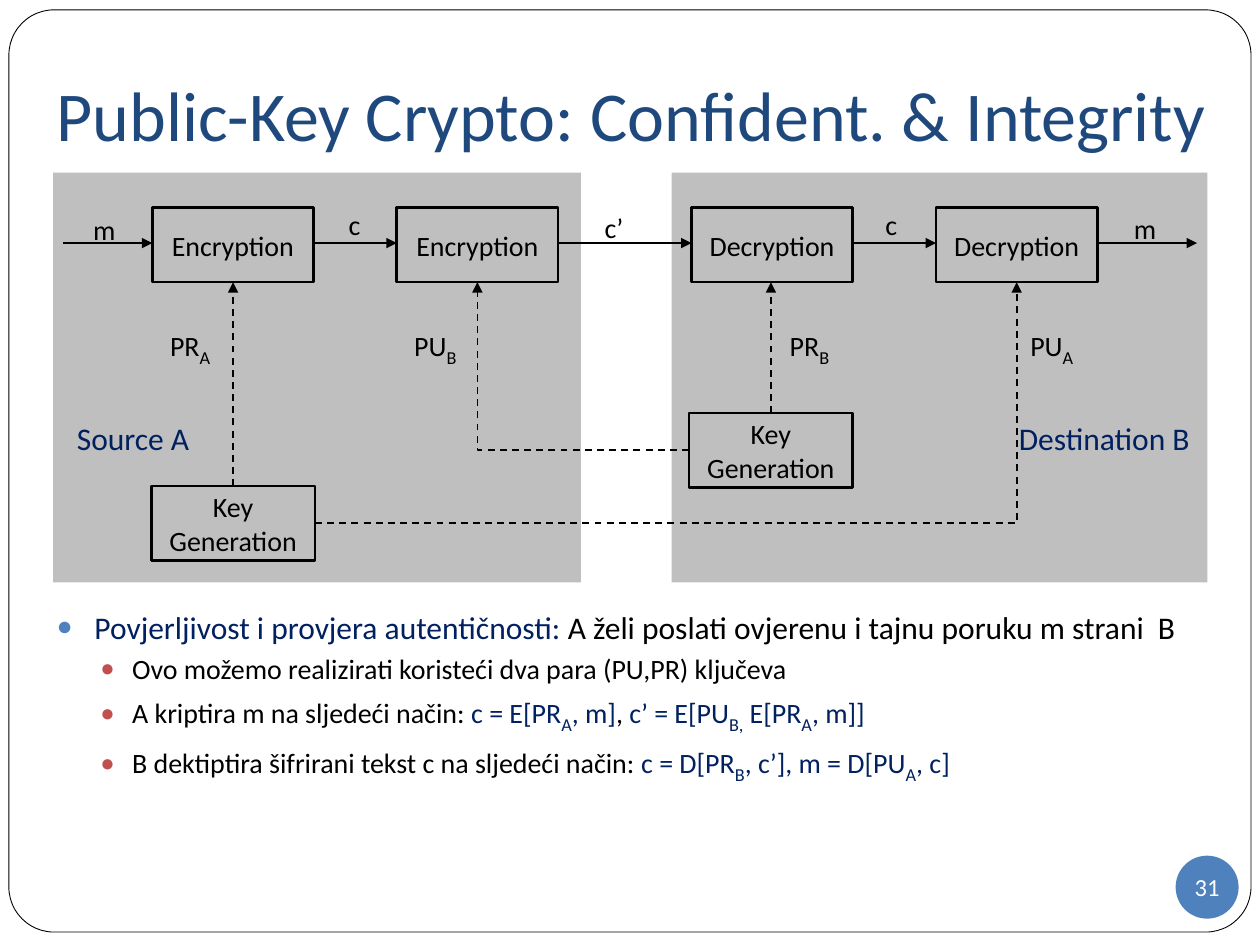
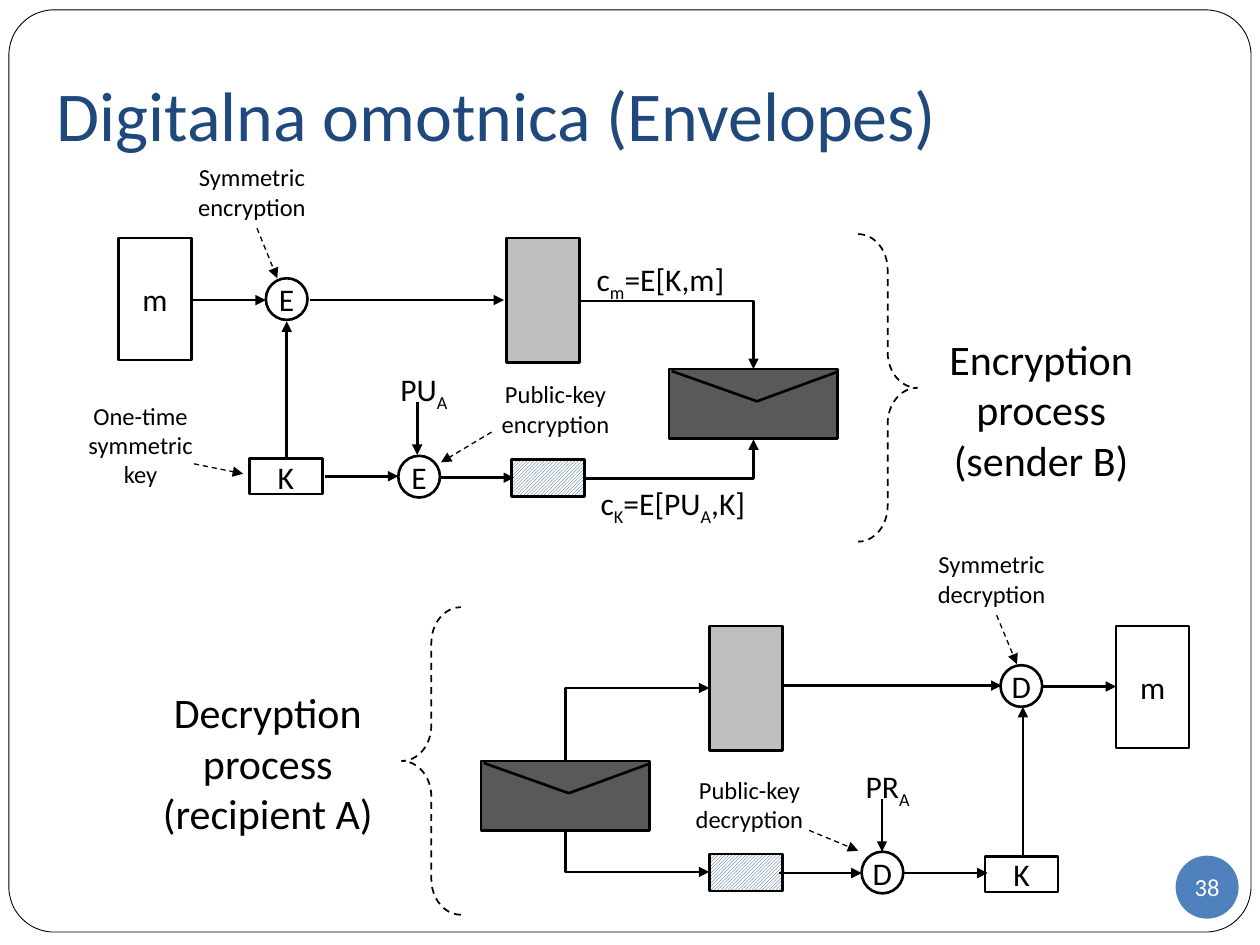
from lxml import etree
from pptx import Presentation
from pptx import util as u
from pptx.dml import color
from pptx.enum import dml, shapes, text
from pptx.oxml import ns

FONT = "Calibri"
BLACK, WHITE, GREY, DARK = "000000", "FFFFFF", "BFBFBF", "595959"
TITLE, NAVY, BLUE, RED = "1F497D", "002060", "4F81BD", "C0504D"
KIND = shapes.MSO_SHAPE
LEFT, CENTRE = text.PP_ALIGN.LEFT, text.PP_ALIGN.CENTER


def rgb(value):
    return color.RGBColor.from_string(value)


def cm(*values):
    return [u.Cm(value) for value in values]


def add_child(parent, tag, **attributes):
    return etree.SubElement(parent, ns.qn(tag), attributes)


def add_spans(para, words, size=16, colour=BLACK, sub_size=18):
    """Add words to a paragraph; every second part between bars is a subscript."""
    for number, part in enumerate(words.split("|")):
        if not part:
            continue
        span = para.add_run()
        span.text = part
        lowered = number % 2 == 1
        span.font.name = FONT
        span.font.size = u.Pt(sub_size if lowered else size)
        span.font.color.rgb = rgb(colour)
        if lowered:
            span.font._element.set("baseline", "-25000")


def write(box, words, align=LEFT, anchor=None, wrap=True, insets=None, **style):
    frame = box.text_frame
    frame.word_wrap = wrap
    if anchor is not None:
        frame.vertical_anchor = anchor
    if insets:
        (frame.margin_left, frame.margin_top,
         frame.margin_right, frame.margin_bottom) = cm(*insets)
    frame.paragraphs[0].alignment = align
    add_spans(frame.paragraphs[0], words, **style)


class Builder:
    """Holds the deck, its shared style and the current page."""

    def __init__(self):
        self.deck = Presentation()
        self.deck.slide_width, self.deck.slide_height = cm(25.4, 19.05)
        self.page = None

    def new_page(self, title, number, layout):
        first = self.page is None
        self.page = self.deck.slides.add_slide(self.deck.slide_layouts[layout])
        if first:
            self.master_frame()
        heading = self.page.shapes.title
        self.place(heading, 0.89, 0.76, 23.8, 3.18)
        heading.text_frame.auto_size = text.MSO_AUTO_SIZE.NONE
        write(heading, title, anchor=text.MSO_ANCHOR.MIDDLE,
              insets=(0.25, 0.13, 0.25, 0.25), size=40, colour=TITLE)
        self.shape(KIND.OVAL, 23.7, 17.25, 1.27, 1.27, number, fill=BLUE, width=0,
                   insets=(0, 0, 0, 0), wrap=False, size=14, colour=WHITE)

    def master_frame(self):
        """Rounded page border, kept on the slide master behind everything."""
        border = self.shape(KIND.ROUNDED_RECTANGLE, 0.18, 0.2, 25.04, 18.59,
                            fill=WHITE, width=0.5)
        border.adjustments[0] = 0.049
        border._element.nvSpPr.cNvPr.set("id", "100")
        self.deck.slide_master.shapes[0]._element.addprevious(border._element)

    def place(self, box, *bounds):
        box.left, box.top, box.width, box.height = cm(*bounds)

    def shape(self, kind, x, y, w, h, words="", fill=None, width=1.5, **style):
        box = self.page.shapes.add_shape(kind, *cm(x, y, w, h))
        box.shadow.inherit = False
        if fill:
            box.fill.solid()
            box.fill.fore_color.rgb = rgb(fill)
        else:
            box.fill.background()
        if width:
            box.line.color.rgb = rgb(BLACK)
            box.line.width = u.Pt(width)
        else:
            box.line.fill.background()
        if words:
            write(box, words, align=CENTRE, anchor=text.MSO_ANCHOR.MIDDLE, **style)
        return box

    def label(self, words, x, y, w, h=1.02, **style):
        box = self.page.shapes.add_textbox(*cm(x, y, w, h))
        box.text_frame.auto_size = text.MSO_AUTO_SIZE.SHAPE_TO_FIT_TEXT
        write(box, words, **style)

    def line(self, x1, y1, x2, y2, width=1.5, dash=False, end="tailEnd", elbow=False):
        """Line with an arrowhead; an elbow leaves its start horizontally."""
        kind = shapes.MSO_CONNECTOR.ELBOW if elbow else shapes.MSO_CONNECTOR.STRAIGHT
        link = self.page.shapes.add_connector(kind, *cm(x1, y1, x2, y2))
        link.line.color.rgb = rgb(BLACK)
        link.line.width = u.Pt(width)
        if dash:
            link.line.dash_style = dml.MSO_LINE.DASH
        properties = link._element.spPr
        if elbow:
            properties.find(ns.qn("a:prstGeom")).set("prst", "bentConnector2")
        if end:
            add_child(properties.find(ns.qn("a:ln")), "a:" + end, type="triangle")
        add_child(properties, "a:effectLst")
        return link

    def bullets(self, items):
        body = self.page.placeholders[1]
        self.place(body, 0.89, 12.12, 23.8, 6.2)
        frame = body.text_frame
        frame.auto_size = text.MSO_AUTO_SIZE.NONE
        for number, (level, spans) in enumerate(items):
            para = frame.add_paragraph() if number else frame.paragraphs[0]
            para.level = level
            size, before, margin, indent, dot = (
                (16, 3.8, 1.52, -0.64, RED) if level else (18, 5.8, 0.76, -0.76, BLUE))
            para.space_before = u.Pt(before)
            layout = para._p.get_or_add_pPr()
            layout.set("marL", str(u.Cm(margin)))
            layout.set("indent", str(u.Cm(indent)))
            add_child(add_child(layout, "a:buClr"), "a:srgbClr", val=dot)
            add_child(layout, "a:buSzPct", val="85000")
            add_child(layout, "a:buChar", char="●")
            for words, colour in spans:
                add_spans(para, words, size=size, colour=colour)

    def node(self, letter, x, y):
        self.shape(KIND.OVAL, x, y, 0.84, 0.84, letter, size=18,
                   insets=(0, 0, 0, 0), wrap=False)

    def sheet(self, x, y, h, words="", fill=None):
        return self.shape(KIND.RECTANGLE, x, y, 1.47, h, words, fill=fill, size=18)

    def wrapped_key(self, x, y):
        pattern = self.sheet(x, y, 0.74).fill
        pattern.patterned()
        pattern.pattern = dml.MSO_PATTERN.LIGHT_UPWARD_DIAGONAL
        pattern.fore_color.rgb = rgb(TITLE)
        pattern.back_color.rgb = rgb(WHITE)

    def envelope(self, x, y):
        tip = (x + 1.77, y + 0.65)
        parts = [self.shape(KIND.RECTANGLE, x, y, 3.4, 1.4, fill=DARK),
                 self.line(x + 0.05, y + 0.04, *tip, end=None),
                 self.line(*tip, x + 3.38, y + 0.06, end=None)]
        self.page.shapes.add_group_shape(parts)

    def brace(self, x, y, rotation=0):
        box = self.shape(KIND.RIGHT_BRACE, x, y, 1.19, 6.2, width=1)
        box.line.dash_style = dml.MSO_LINE.DASH
        box.adjustments[0], box.adjustments[1] = 0.604, 0.5
        box.rotation = rotation


build = Builder()

# Slide 1: two parties, each with two steps and a key generator
build.new_page("Public-Key Crypto: Confident. & Integrity", "31", layout=1)
build.bullets([
    (0, [("Povjerljivost i provjera autentičnosti:", NAVY),
         (" A želi poslati ovjerenu i tajnu poruku m strani  B", BLACK)]),
    (1, [("Ovo možemo realizirati koristeći dva para (PU,PR) ključeva", BLACK)]),
    (1, [("A kriptira m na sljedeći način: ", BLACK), ("c = E[PR|A|, m]", NAVY),
         (",", BLACK), (" c’ = E[PU|B,| E[PR|A|, m]]", NAVY)]),
    (1, [("B dektiptira šifrirani tekst c na sljedeći način: ", BLACK),
         ("c = D[PR|B|, c’], m = D[PU|A|, c]", NAVY)]),
])
for x, w in ((1.07, 10.64), (13.54, 10.8)):
    build.shape(KIND.RECTANGLE, x, 3.48, w, 8.26, fill=GREY, width=0)

# Steps in a row, with an arrow before and after each
step_w, step_h, step_y = 3.25, 1.5, 4.19
step_x = [3.07, 8, 13.94, 18.87]
for x, name in zip(step_x, ["Encryption"] * 2 + ["Decryption"] * 2):
    build.shape(KIND.RECTANGLE, x, step_y, step_w, step_h, name)
starts = [1.27] + [x + step_w for x in step_x]
for start, end in zip(starts, step_x + [24.13]):
    build.line(start, 4.9, end, 4.9, width=1)

# Key generators and the dashed paths of their keys
for x, y in ((3.05, 9.8), (13.89, 8.33)):
    build.shape(KIND.RECTANGLE, x, y, 3.3, step_h, "Key Generation")
    build.line(x + 1.65, y, x + 1.65, step_y + step_h, width=1, dash=True)
for x, y, target in ((6.35, 10.55, step_x[3]), (13.89, 9.07, step_x[1])):
    build.line(x, y, target + step_w / 2, step_y + step_h, width=1, dash=True, elbow=True)

for words, x, y, w in (("m", 1.63, 4.17, 0.97), ("c", 6.78, 4.06, 0.76),
                       ("c’", 11.94, 4.11, 0.89), ("c", 17.6, 4.06, 0.76),
                       ("m", 22.61, 4.14, 0.97), ("PR|A", 3.18, 6.43, 1.37),
                       ("PU|B", 8.1, 6.43, 1.4), ("PR|B", 15.67, 6.43, 1.35),
                       ("PU|A", 20.52, 6.43, 1.42)):
    build.label(words, x, y, w, 0.94, wrap=False)
for words, x, w in (("Source A", 1.3, 2.79), ("Destination B", 20.29, 4.01)):
    build.label(words, x, 8.33, w, wrap=False, size=18, colour=NAVY)

# Slide 2: sealing the envelope above, opening it below
build.new_page("Digitalna omotnica (Envelopes)", "38", layout=5)
for x, y in ((2.39, 4.8), (22.5, 12.62)):
    build.sheet(x, y, 2.46, "m")
for x, y in ((10.21, 4.8), (14.3, 12.62)):
    build.sheet(x, y, 2.51, fill=GREY)
for x, y in ((5.03, 9.25), (19.86, 17.27)):
    build.sheet(x, y, 0.71, "K")
for x, y in ((10.31, 9.27), (14.3, 17.22)):
    build.wrapped_key(x, y)
for x, y in ((13.49, 7.44), (9.7, 15.34)):
    build.envelope(x, y)
for letter, x, y in (("E", 5.36, 5.61), ("E", 8.03, 9.19),
                     ("D", 20.17, 13.41), ("D", 17.37, 17.17)):
    build.node(letter, x, y)

# Flow arrows
for x1, x2, y in ((3.89, 5.36, 6.05), (6.25, 10.16, 6.05), (6.55, 8.03, 9.6),
                  (8.86, 10.36, 9.63), (15.8, 20.19, 13.82), (21.03, 22.5, 13.84),
                  (15.7, 17.37, 17.6), (18.21, 19.91, 17.6)):
    build.line(x1, y, x2, y)
for x, y1, y2 in ((5.78, 9.25, 6.48), (8.41, 8.1, 9.17),
                  (17.78, 16.1, 17.17), (20.62, 17.27, 14.25)):
    build.line(x, y1, x, y2)
for x1, y1, x2, y2, end in ((11.68, 6.07, 15.19, 7.44, "tailEnd"),
                            (11.79, 9.65, 15.19, 8.86, "tailEnd"),
                            (14.3, 13.87, 11.4, 15.34, "headEnd"),
                            (14.3, 17.58, 11.4, 16.74, "headEnd")):
    build.line(x1, y1, x2, y2, end=end, elbow=True)

# Captions with their dashed pointers
for words, x, y, w, h, pointer in (
        ("Symmetric encryption", 3.38, 3.15, 3.4, 1.45, (5.18, 4.6, 5.59, 5.61)),
        ("One-time symmetric key", 1.5, 7.95, 2.67, 2.06, (3.91, 9.35, 4.9, 9.55)),
        ("Public-key encryption", 9.5, 7.52, 3.4, 1.45, (9.91, 8.71, 8.89, 9.32)),
        ("Symmetric decryption", 18.29, 10.95, 3.4, 1.45, (20.09, 12.4, 20.5, 13.39)),
        ("Public-key decryption", 13.41, 15.49, 3.4, 1.45, (16.31, 16.74, 17.3, 17.15))):
    build.label(words, x, y, w, h, align=CENTRE, size=14)
    build.line(*pointer, width=0.75, dash=True)

# Formulas, braces and process names
for words, x, y, w in (("c|m|=E[K,m]", 11.51, 5.11, 3.61),
                       ("c|K|=E[PU|A|,K]", 11.66, 9.63, 3.81),
                       ("PU|A", 7.59, 7.34, 1.91), ("PR|A", 16.94, 15.34, 1.91)):
    build.label(words, x, y, w, align=CENTRE, size=18)
build.brace(17.3, 4.72)
build.brace(8.1, 12.24, rotation=180)
build.label("Encryption process (sender B)", 18.69, 6.6, 4.6, 3.33, align=CENTRE, size=24)
build.label("Decryption process (recipient A)", 2.9, 13.72, 5, 3.33, align=CENTRE, size=24)

build.deck.save("out.pptx")
